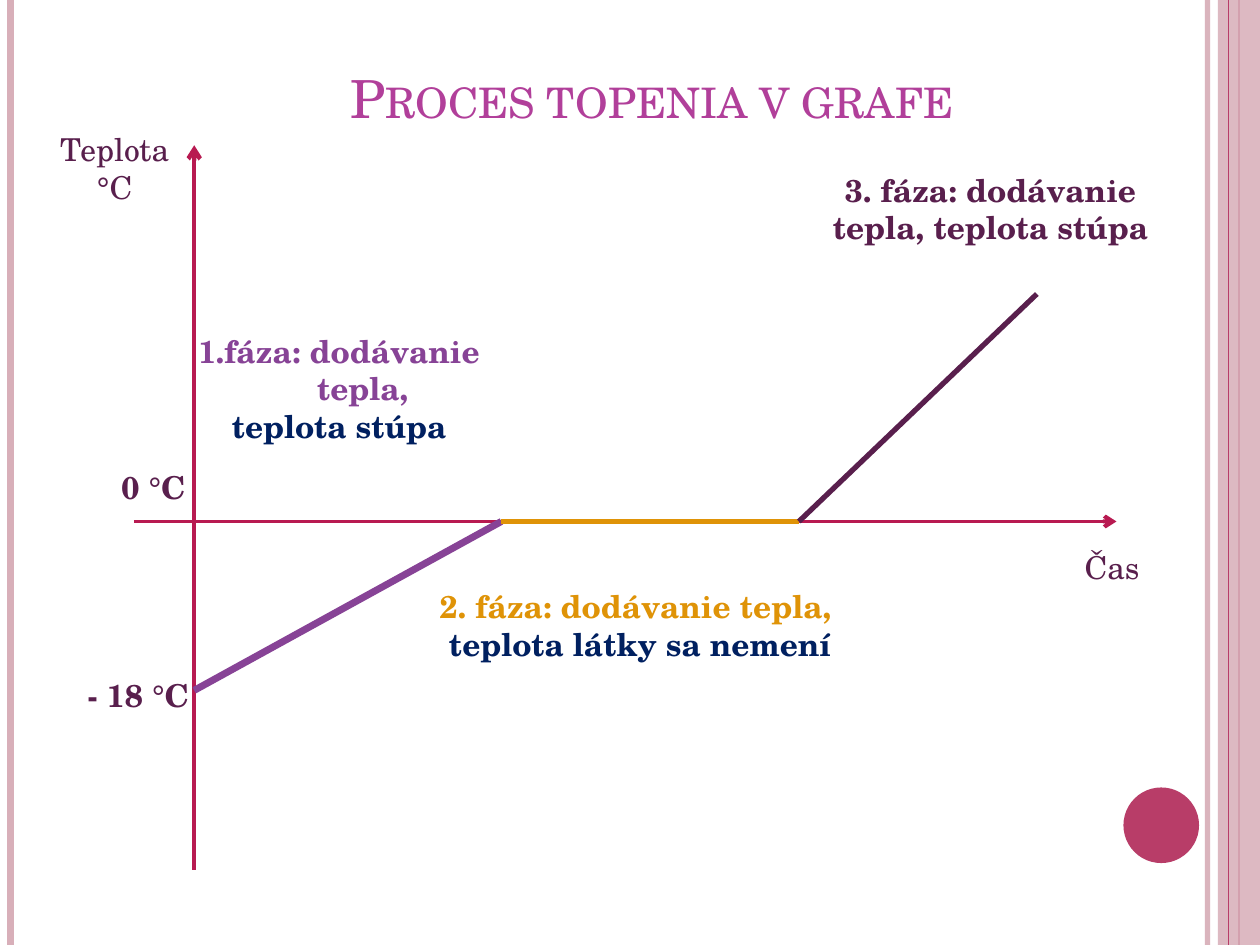
from lxml import etree
from pptx import Presentation
from pptx.dml.color import RGBColor
from pptx.enum.shapes import MSO_CONNECTOR, MSO_SHAPE
from pptx.enum.text import MSO_ANCHOR, PP_ALIGN
from pptx.oxml.ns import qn
from pptx.util import Pt

STRAIGHT = MSO_CONNECTOR.STRAIGHT
RECTANGLE, OVAL = MSO_SHAPE.RECTANGLE, MSO_SHAPE.OVAL
TOP, BOTTOM = MSO_ANCHOR.TOP, MSO_ANCHOR.BOTTOM
CENTER = PP_ALIGN.CENTER

FONT = "TeX Gyre Schola"
PALE_PINK = RGBColor(0xD8, 0xAF, 0xB9)
ROSE = RGBColor(0xB8, 0x3D, 0x68)
CRIMSON = RGBColor(0xB8, 0x1A, 0x51)
MAGENTA = RGBColor(0xB1, 0x3F, 0x9A)
PLUM = RGBColor(0x59, 0x1F, 0x4D)
PURPLE = RGBColor(0x87, 0x43, 0x96)
ORANGE = RGBColor(0xDF, 0x93, 0x07)
NAVY = RGBColor(0x00, 0x20, 0x60)

PAGE_WIDTH, PAGE_HEIGHT = 720, 540


def set_opacity(fill_parent, percent):
    color = fill_parent.find(".//" + qn("a:srgbClr"))
    etree.SubElement(color, qn("a:alpha"), val=str(percent * 1000))


def add_line(page, start, end, color, width, arrow=False, opacity=None):
    line = page.shapes.add_connector(
        STRAIGHT, Pt(start[0]), Pt(start[1]), Pt(end[0]), Pt(end[1]))
    line.line.color.rgb = color
    line.line.width = Pt(width)
    outline = line.line._get_or_add_ln()
    if opacity:
        set_opacity(outline, opacity)
    if arrow:
        etree.SubElement(outline, qn("a:tailEnd"), type="arrow")
    etree.SubElement(line._element.spPr, qn("a:effectLst"))


def add_solid(page, kind, box, color):
    shape = page.shapes.add_shape(kind, *map(Pt, box))
    shape.shadow.inherit = False
    shape.fill.solid()
    shape.fill.fore_color.rgb = color
    shape.line.fill.background()
    return shape


def add_text(page, box, paragraphs, size=18, bold=False, anchor=TOP, hanging=0):
    """Write centred (text, colour) paragraphs; hanging is the indent of later lines."""
    text_box = page.shapes.add_textbox(*map(Pt, box))
    frame = text_box.text_frame
    frame.word_wrap = True
    frame.vertical_anchor = anchor
    for index, (text, color) in enumerate(paragraphs):
        para = frame.add_paragraph() if index else frame.paragraphs[0]
        para.alignment = CENTER
        if hanging:
            properties = para._p.get_or_add_pPr()
            properties.set("marL", str(Pt(hanging)))
            properties.set("indent", str(-Pt(hanging)))
        span = para.add_run()
        span.text = text
        span.font.name = FONT
        span.font.size = Pt(size)
        span.font.bold = bold
        span.font.color.rgb = color
    return text_box


def add_frame(page, width, height):
    """Draw the vertical side stripes and the corner disc."""
    def stripe(x, color, weight, opacity=None):
        add_line(page, (x, 0), (x, height), color, weight, opacity=opacity)

    stripe(width - 30, PALE_PINK, 3, opacity=93)
    stripe(6, PALE_PINK, 4.5)
    stripe(width - 12, ROSE, 1.5)
    band = add_solid(page, RECTANGLE, (width - 24, 0, 24, height), PALE_PINK)
    set_opacity(band._element.spPr, 87)
    stripe(width - 18, ROSE, 0.75)
    add_solid(page, OVAL, (width - 78, height - 90, 43.2, 43.2), ROSE)


def add_title(page, box, text):
    title = add_text(page, box, [(text, MAGENTA)], size=30, anchor=BOTTOM)
    span = title.text_frame.paragraphs[0].runs[0]
    span.font._element.set("cap", "small")


def add_melting_graph(page, box):
    """Draw axes, the three heating phases and their labels inside the box."""
    left, top, width, height = box
    axis_x, axis_y = left + 91, top + 227
    bottom, right = top + height, left + width

    def label(x, y, w, h, *paragraphs, **style):
        add_text(page, (left + x, top + y, w, h), paragraphs, **style)

    add_line(page, (axis_x, bottom), (axis_x, top + 12), CRIMSON, 2.5, arrow=True)
    add_line(page, (axis_x - 34.5, axis_y), (right - 25, axis_y),
             CRIMSON, 2.25, arrow=True)

    label(0, 0, 91, 51, ("Teplota °C", PLUM))
    label(572.5, 238.5, 91, 29, ("Čas ", PLUM))
    label(34, 193, 67.5, 29, ("0 °C", PLUM), bold=True)
    label(16.5, 312, 85, 29, ("- 18 °C", PLUM), bold=True)
    label(75.5, 115, 196.5, 72.5, ("1.fáza: dodávanie tepla,", PURPLE),
          ("teplota stúpa", NAVY), bold=True, hanging=27)
    label(222, 261, 247.5, 51, ("2. fáza: dodávanie tepla, ", ORANGE),
          ("teplota látky sa nemení", NAVY), bold=True)
    label(448, 23, 196, 51, ("3. fáza: dodávanie tepla, teplota stúpa", PLUM),
          bold=True)

    points = [(axis_x, axis_y + 96.5), (axis_x + 175.5, axis_y),
              (axis_x + 345.5, axis_y), (axis_x + 481.5, axis_y - 130)]
    phases = [(PURPLE, 4), (ORANGE, 3.25), (PLUM, 3)]
    for start, end, (color, weight) in zip(points, points[1:], phases):
        add_line(page, start, end, color, weight)


def main():
    deck = Presentation()
    deck.slide_width, deck.slide_height = Pt(PAGE_WIDTH), Pt(PAGE_HEIGHT)
    page = deck.slides.add_slide(deck.slide_layouts[6])
    add_frame(page, PAGE_WIDTH, PAGE_HEIGHT)
    add_title(page, (78.5, 16.5, 588, 61), "Proces topenia v grafe")
    add_melting_graph(page, (20, 71, 643, 426))
    deck.save("out.pptx")


if __name__ == "__main__":
    main()
